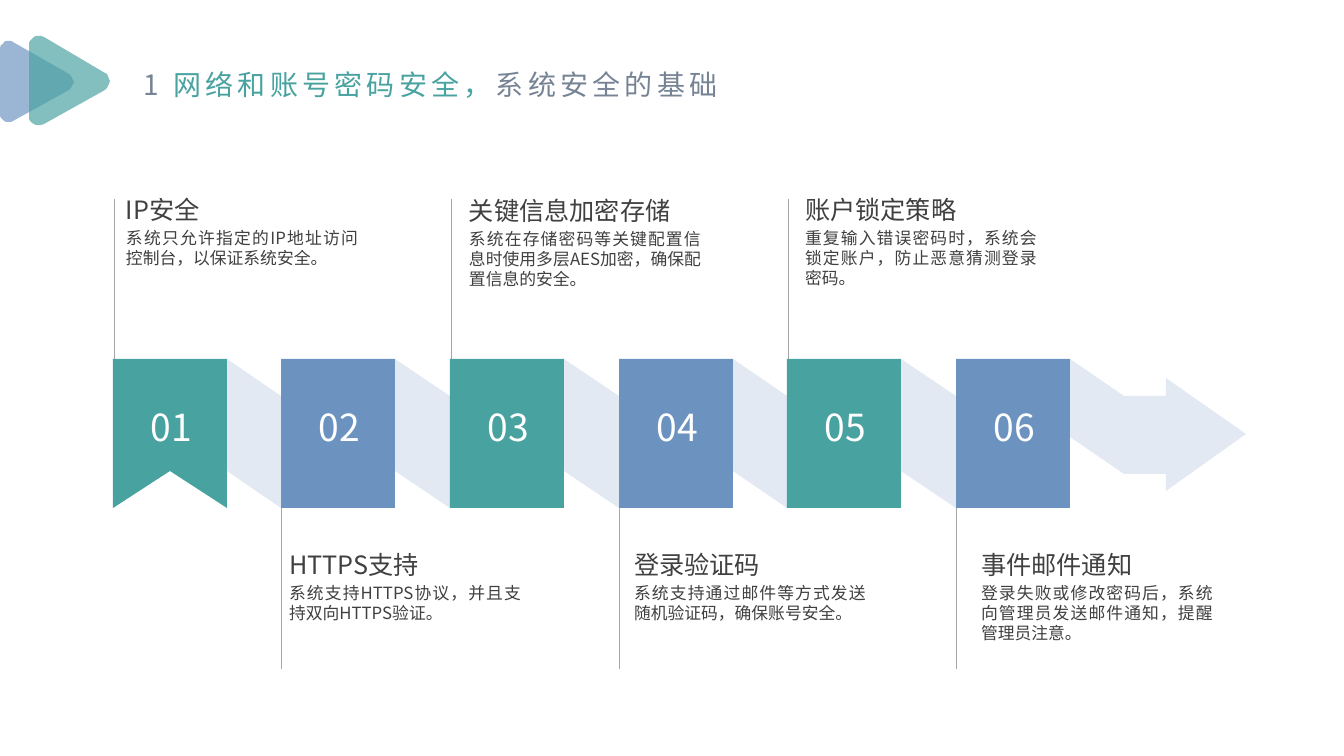
import lxml.etree
import pptx
import pptx.dml.color
import pptx.enum.shapes
import pptx.enum.text
import pptx.oxml.ns
import pptx.util

PX = 914400 / 100.8
FONT = "Noto Sans CJK SC"
TEAL, BLUE, PALE = "48A2A0", "6C92C0", "E2E9F2"
GREY, DARK, SLATE, WHITE = "A6A6A6", "404040", "768394", "FFFFFF"

ALIGN = pptx.enum.text.PP_ALIGN
ANCHOR = pptx.enum.text.MSO_ANCHOR
AUTOFIT = pptx.enum.text.MSO_AUTO_SIZE
qn = pptx.oxml.ns.qn


def emu(px):
    return pptx.util.Emu(round(px * PX))


def rgb(color):
    return pptx.dml.color.RGBColor.from_string(color)


def apply(target, values):
    for name, value in values.items():
        setattr(target, name, value)


def curve(p0, p1, p2, p3, steps=8):
    for i in range(steps + 1):
        t = i / steps
        u = 1 - t
        yield tuple(u**3 * a + 3 * u * u * t * b + 3 * u * t * t * c + t**3 * d
                    for a, b, c, d in zip(p0, p1, p2, p3))


class Deck:
    def __init__(self, width, height):
        self.prs = pptx.Presentation()
        apply(self.prs, {"slide_width": emu(width), "slide_height": emu(height)})
        self.s = self.prs.slides.add_slide(self.prs.slide_layouts[5])

    def paint(self, sp, color, alpha=None):
        sp.shadow.inherit = False
        sp.fill.solid()
        sp.fill.fore_color.rgb = rgb(color)
        sp.line.fill.background()
        if alpha:
            clr = sp._element.spPr.find(".//" + qn("a:srgbClr"))
            lxml.etree.SubElement(clr, qn("a:alpha")).set("val", str(alpha * 1000))

    def polygon(self, points, color, alpha=None):
        builder = self.s.shapes.build_freeform(*points[0], scale=PX)
        builder.add_line_segments(points[1:], close=True)
        self.paint(builder.convert_to_shape(), color, alpha)

    def rect(self, x, y, w, h, color):
        kind = pptx.enum.shapes.MSO_SHAPE.RECTANGLE
        self.paint(self.s.shapes.add_shape(kind, emu(x), emu(y), emu(w), emu(h)), color)

    def vline(self, x, top, bottom):
        kind = pptx.enum.shapes.MSO_CONNECTOR.STRAIGHT
        sp = self.s.shapes.add_connector(kind, emu(x), emu(top), emu(x), emu(bottom))
        sp.line.color.rgb = rgb(GREY)
        sp.line.width = pptx.util.Pt(0.5)
        lxml.etree.SubElement(sp._element.spPr, qn("a:effectLst"))

    def run(self, p, text, size, color, spacing=None):
        r = p.add_run()
        r.text = text
        apply(r.font, {"size": pptx.util.Pt(size), "name": FONT})
        r.font.color.rgb = rgb(color)
        rpr = r.font._element
        lxml.etree.SubElement(rpr, qn("a:ea")).set("typeface", FONT)
        if spacing:
            rpr.set("spc", str(spacing * 100))

    def title(self, x, y, w, h, runs):
        sp = self.s.shapes.title
        apply(sp, {"left": emu(x), "top": emu(y), "width": emu(w), "height": emu(h)})
        tf = sp.text_frame
        apply(tf, {"word_wrap": False, "auto_size": AUTOFIT.SHAPE_TO_FIT_TEXT,
                   "vertical_anchor": ANCHOR.TOP})
        p = tf.paragraphs[0]
        p.alignment = ALIGN.LEFT
        for text, color in runs:
            self.run(p, text, 20, color, 3)

    def text(self, x, y, w, h, lines, frame, align):
        tf = self.s.shapes.add_textbox(emu(x), emu(y), emu(w), emu(h)).text_frame
        apply(tf, {"word_wrap": True, **frame})
        for i, (text, size, color) in enumerate(lines):
            p = tf.add_paragraph() if i else tf.paragraphs[0]
            apply(p, {"alignment": align, "line_spacing": 1.0})
            if i:
                p.space_before = pptx.util.Pt(size * 0.2)
            self.run(p, text, size, color)


STEPS = [
    (113, 187, "IP安全", "系统只允许指定的IP地址访问控制台，以保证系统安全。"),
    (276, 542, "HTTPS支持", "系统支持HTTPS协议，并且支持双向HTTPS验证。"),
    (456, 188, "关键信息加密存储", "系统在存储密码等关键配置信息时使用多层AES加密，确保配置信息的安全。"),
    (621, 542, "登录验证码", "系统支持通过邮件等方式发送随机验证码，确保账号安全。"),
    (792, 187, "账户锁定策略", "重复输入错误密码时，系统会锁定账户，防止恶意猜测登录密码。"),
    (968, 542, "事件邮件通知", "登录失败或修改密码后，系统向管理员发送邮件通知，提醒管理员注意。"),
]
TRIANGLES = [
    (BLUE, [[(13, 42), (7, 39), (0, 43), (0, 50)],
            [(0, 113), (0, 120), (7, 125), (13, 121)],
            [(69, 90), (75, 86), (75, 78), (69, 74)]]),
    (TEAL, [[(44, 37), (37, 33), (29, 38), (29, 46)],
            [(29, 116), (29, 123), (37, 128), (44, 124)],
            [(105, 90), (111, 86), (111, 76), (105, 73)]]),
]
CARD_W, CARD_H, TOP, FOLD = 114, 149, 359, 37
BOTTOM = TOP + CARD_H
ARROW_X, ARROW_BOTTOM = 1124, 474


def main():
    deck = Deck(1344, 756)
    for color, corners in TRIANGLES:
        deck.polygon([pt for corner in corners for pt in curve(*corner)], color, 68)
    deck.title(133, 62, 620, 44, [("1 ", SLATE), ("网络和账号密码安全，", TEAL),
                                  ("系统安全的基础", SLATE)])

    lefts = [round(112.8 + 168.6 * i) for i in range(len(STEPS))]
    for i, x in enumerate(lefts):
        if i % 2:
            deck.vline(x, BOTTOM - 1, 669)
        else:
            deck.vline(x + 1, 199, TOP + 1)

    for x, end in zip(lefts, lefts[1:] + [ARROW_X]):
        low = ARROW_BOTTOM if end == ARROW_X else BOTTOM
        start = x + CARD_W
        deck.polygon([(start, TOP), (end, TOP + FOLD), (end, low), (start, low - FOLD)], PALE)
    deck.polygon([(ARROW_X, TOP + FOLD), (1166, TOP + FOLD), (1166, 378), (1246, 434),
                  (1166, 491), (1166, ARROW_BOTTOM), (ARROW_X, ARROW_BOTTOM)], PALE)

    inset = {"margin_left": emu(13), "margin_right": emu(13),
             "margin_top": emu(7), "margin_bottom": emu(7)}
    for i, (x, (text_x, text_y, head, body)) in enumerate(zip(lefts, STEPS)):
        if i:
            deck.rect(x, TOP, CARD_W, CARD_H, BLUE if i % 2 else TEAL)
        else:
            deck.polygon([(x, TOP), (x + CARD_W, TOP), (x + CARD_W, BOTTOM),
                          (x + CARD_W // 2, BOTTOM - FOLD), (x, BOTTOM)], TEAL)
        deck.text(x - 12, 377, 141, 100, [(f"{i + 1:02}", 26.6, WHITE)],
                  {"vertical_anchor": ANCHOR.MIDDLE}, ALIGN.CENTER)
        deck.text(text_x, text_y, 258, 137, [(head, 18, DARK), (body, 12, DARK)],
                  inset, ALIGN.JUSTIFY)
    deck.prs.save("out.pptx")


if __name__ == "__main__":
    main()
